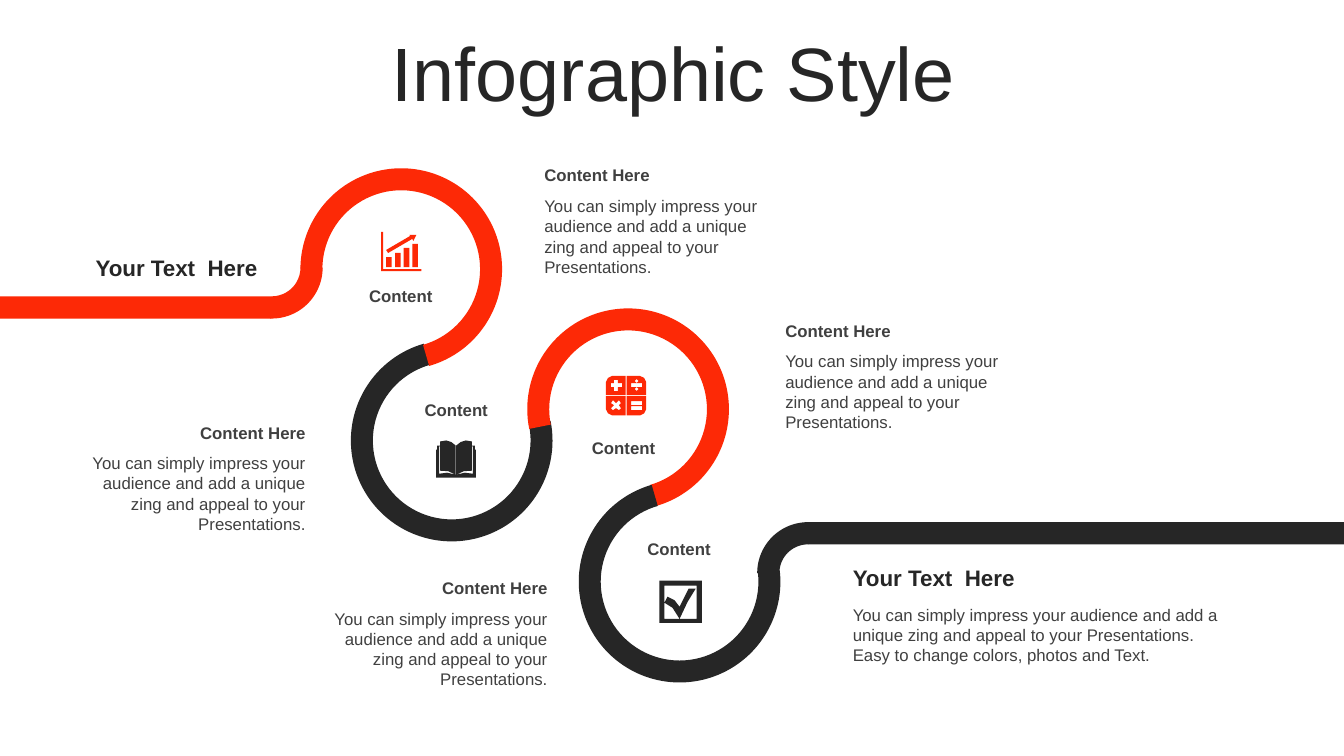
from dataclasses import dataclass

from pptx import Presentation
from pptx.dml.color import RGBColor
from pptx.enum.shapes import MSO_SHAPE
from pptx.enum.text import MSO_ANCHOR, MSO_AUTO_SIZE, PP_ALIGN
from pptx.util import Inches, Pt


@dataclass(frozen=True)
class Theme:
    font: str = "Arial"
    red: RGBColor = RGBColor(0xFD, 0x29, 0x06)
    dark: RGBColor = RGBColor(0x26, 0x26, 0x26)
    gray: RGBColor = RGBColor(0x40, 0x40, 0x40)
    title: int = 54
    heading: int = 16
    text: int = 12


THEME = Theme()
GRID = Inches(0.1)  # side of one grid cell
LEFT, CENTER, RIGHT = PP_ALIGN.LEFT, PP_ALIGN.CENTER, PP_ALIGN.RIGHT

deck = Presentation()
deck.slide_width, deck.slide_height = Inches(13.33), Inches(7.5)
page = deck.slides.add_slide(deck.slide_layouts[5])
columns = deck.slide_width / GRID


def add_text(cells, wording, size, color, bold=False, align=LEFT, box=None):
    """Fill the given box, or a new text box, placed in grid cells."""
    left, top, width, height = [round(cell * GRID) for cell in cells]
    box = box or page.shapes.add_textbox(left, top, width, height)
    box.left, box.top, box.width, box.height = left, top, width, height
    frame = box.text_frame
    frame.word_wrap = True
    frame.auto_size = MSO_AUTO_SIZE.NONE
    frame.text = wording
    para = frame.paragraphs[0]
    para.alignment = align
    font = para.runs[0].font
    font.name, font.size, font.bold = THEME.font, Pt(size), bold
    font.color.rgb = color
    return frame


def add_solid(kind, cells, color, rotation=0, adjustments=()):
    """Add a borderless preset shape placed in grid cells."""
    shape = page.shapes.add_shape(kind, *[round(cell * GRID) for cell in cells])
    shape.shadow.inherit = False
    shape.fill.solid()
    shape.fill.fore_color.rgb = color
    shape.line.fill.background()
    shape.rotation = rotation
    for index, value in enumerate(adjustments):
        shape.adjustments[index] = value


# Title
title_frame = add_text((3.5, 3.7, 126.6, 7.9), "Infographic Style", THEME.title,
                       THEME.dark, align=CENTER, box=page.shapes.title)
title_frame.vertical_anchor = MSO_ANCHOR.MIDDLE
title_frame.paragraphs[0].line_spacing = 0.9

# Winding road: loops (left, top, rotation, start, color), elbows and straight ends
LOOP, BAND = 20, 2.2
loops = [
    (34.8, 33.7, 210, 83.25, THEME.dark),
    (52.3, 30.6, 30, 83.25, THEME.red),
    (57.4, 47.7, 210, 86.18, THEME.dark),
    (29.8, 16.7, 30, 90.25, THEME.red),
]
for left, top, rotation, start, color in loops:
    add_solid(MSO_SHAPE.BLOCK_ARC, (left, top, LOOP, LOOP), color, rotation,
              (start, 26.36, 0.109))

ELBOW = 10.1
elbows = [(21.9, 21.5, 180, THEME.red), (75.1, 51.8, 0, THEME.dark)]
for left, top, rotation, color in elbows:
    add_solid(MSO_SHAPE.BLOCK_ARC, (left, top, ELBOW, ELBOW), color, rotation,
              (108, 162.84, 0.218))
add_solid(MSO_SHAPE.RECTANGLE, (0, 29.4, 26.9, BAND), THEME.red)
add_solid(MSO_SHAPE.RECTANGLE, (80.2, 51.8, columns - 80.2, BAND), THEME.dark)

# Icon outlines, in tenths of a grid cell; nested outlines cut holes
bars = [[(x, y), (x + 5.5, y), (x + 5.5, 35), (x, 35)]
        for x, y in [(5, 25), (14, 21), (22.5, 16), (31, 12)]]
trend_arrow = [(28, 3), (35, 3), (32, 9), (31, 7), (7, 21), (5, 18), (29, 4)]
axes = [(0, 0), (2, 0), (2, 37), (40, 37), (40, 39), (0, 39)]

right_page = [(20.5, 34), (29, 32), (37, 33), (37, 6), (36, 6), (36, 30), (28, 30.5),
              (20.5, 34), (20.5, 5), (25, 1.5), (30, 0), (36, 1), (36, 5), (39, 5),
              (39, 9), (40, 9), (40, 37)]
left_page = [(40.5 - x, y) for x, y in reversed(right_page)]

key = [(0, 19), (0, 6), (2, 2), (6, 0), (19.5, 0), (19.5, 19)]
keys = [[(abs(flip_x - x), abs(flip_y - y)) for x, y in key]
        for flip_x in (0, 40) for flip_y in (0, 39)]
plus = [(8, 4), (8, 7), (5, 7), (5, 11), (8, 11), (8, 15),
        (12, 15), (12, 11), (16, 11), (16, 7), (12, 7), (12, 4)]
times = [(7, 24), (5, 27), (8, 29), (5, 32), (7, 34), (10, 32),
         (13, 34), (15, 32), (13, 29), (15, 27), (13, 24), (10, 27)]
strokes = [[(25, y), (36, y), (36, y + 4), (25, y + 4)] for y in (7, 25, 30)]
dots = [[(30.5, y - 2), (32.5, y), (30.5, y + 2), (28.5, y)] for y in (5, 13)]

frame_outer = [(0, 0), (42, 0), (42, 42), (0, 42)]
frame_inner = [(5, 5), (37, 5), (37, 38), (5, 38)]
tick = [(5, 22), (8, 16), (15, 19.5), (20, 26), (24.5, 17), (29, 8), (36, 8),
        (28, 21), (20, 38), (13, 27)]

icons = [
    (37.8, 23, THEME.red, [*bars, trend_arrow, axes]),
    (43.2, 43.7, THEME.dark, [right_page + left_page]),
    (60.1, 37.3, THEME.red, [*keys, plus, times, *strokes, *dots]),
    (65.4, 57.6, THEME.dark, [frame_outer, frame_inner, tick]),
]
for left, top, color, outlines in icons:
    builder = None
    for outline in outlines:
        points = [(x * 10, y * 10) for x, y in outline]
        if builder is None:
            builder = page.shapes.build_freeform(*points[0], scale=GRID / 100)
        else:
            builder.move_to(*points[0])
        builder.add_line_segments(points[1:], close=True)
    icon = builder.convert_to_shape(round(left * GRID), round(top * GRID))
    icon.shadow.inherit = False
    icon.fill.solid()
    icon.fill.fore_color.rgb = color
    icon.line.fill.background()

# Labels inside the loops
for left, top in [(34.7, 27.8), (40.2, 39.2), (56.8, 42.9), (62.3, 52.9)]:
    label_frame = add_text((left, top, 10.1, 3), "Content", THEME.text, THEME.gray,
                           bold=True, align=CENTER)
    label_frame.vertical_anchor = MSO_ANCHOR.MIDDLE

# Notes beside the loops
pitch = "You can simply impress your audience and add a unique zing and appeal to your Presentations."
notes = [(53, 15.9, LEFT), (76.9, 31.3, LEFT), (6.1, 41.4, RIGHT), (30.1, 56.8, RIGHT)]
for left, top, align in notes:
    add_text((left, top, 25.2, 3), "Content Here", THEME.text, THEME.gray, True, align)
    add_text((left, top + 3.05, 25.2, 9.1), pitch, THEME.text, THEME.gray, align=align)

# Texts at both ends of the road
add_text((8.4, 24.7, 18.2, 3.7), "Your Text  Here", THEME.heading, THEME.dark, True, CENTER)
add_text((83.6, 55.5, 40, 3.7), "Your Text  Here", THEME.heading, THEME.dark, True)
add_text((83.6, 59.5, 40, 7.1), pitch + " Easy to change colors, photos and Text.",
         THEME.text, THEME.gray)

deck.save("out.pptx")
